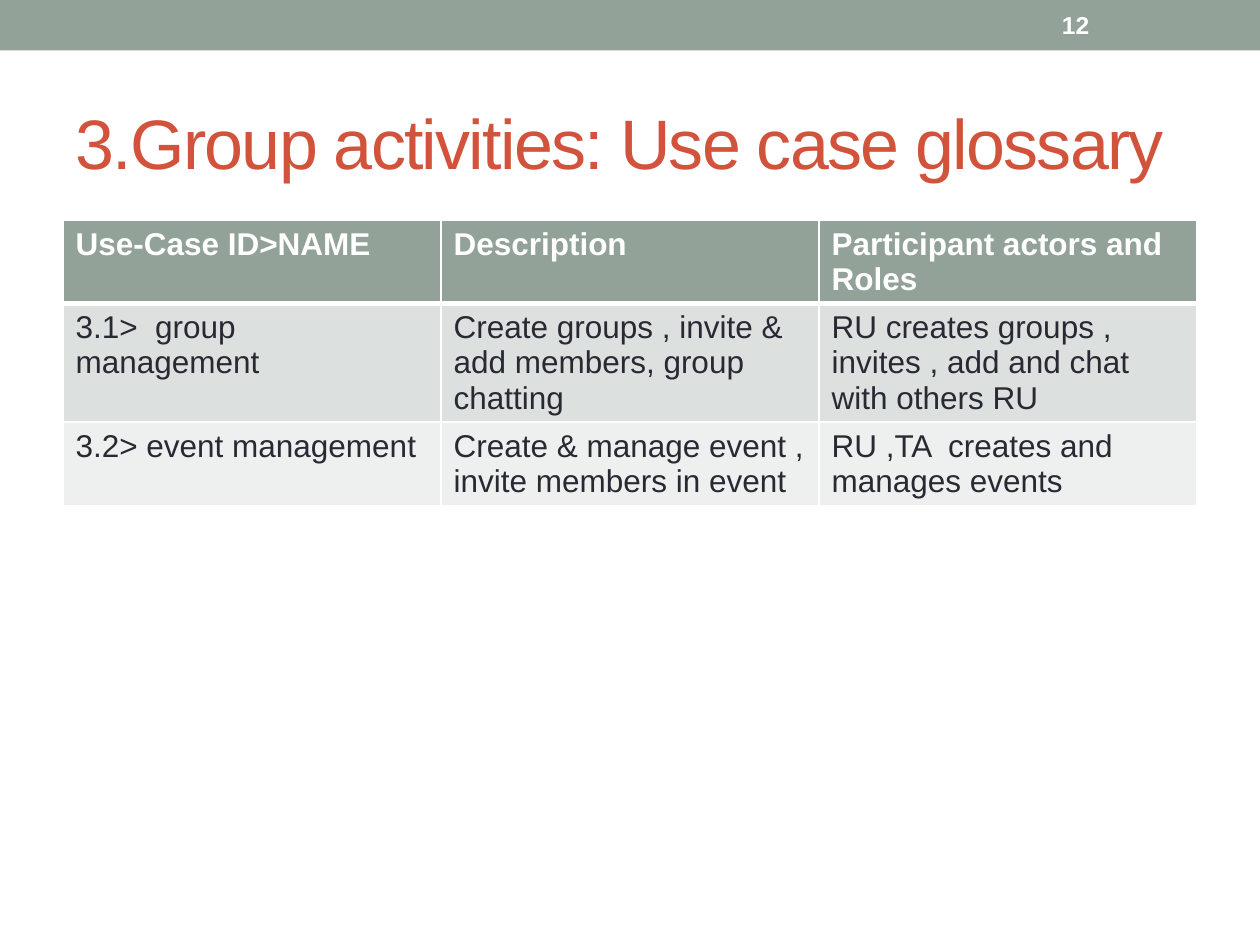
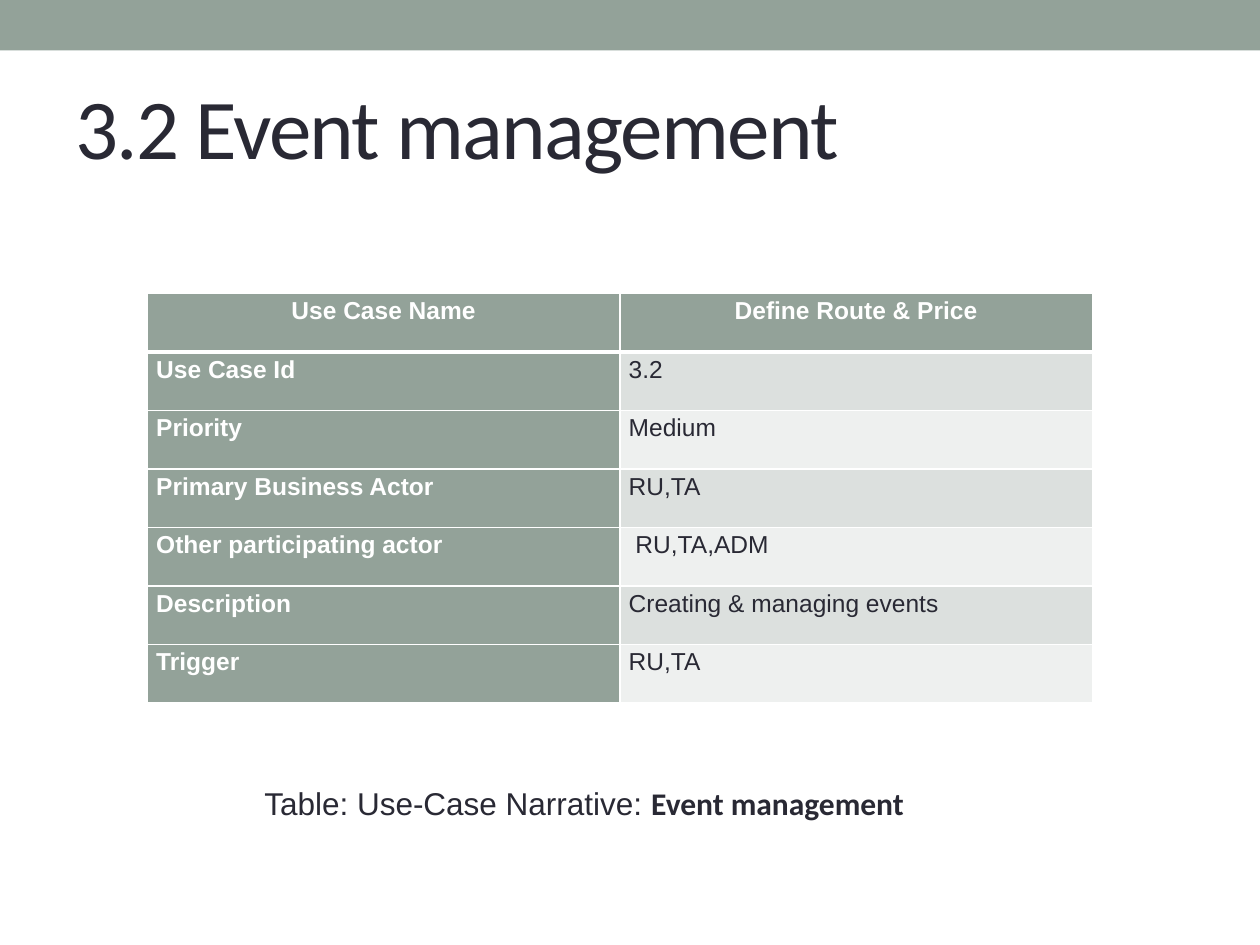
from lxml import etree
from pptx import Presentation
from pptx.dml.color import RGBColor
from pptx.enum import shapes, text
from pptx.oxml import ns
from pptx.util import Inches, Pt

SAGE, RUST, INK, WHITE = "93A299", "D2533C", "292934", "FFFFFF"
BANDS = ("DCE0DE", "EEF0EF")
MIDDLE, TOP = text.MSO_ANCHOR.MIDDLE, text.MSO_ANCHOR.TOP

GLOSSARY = [
    ("Use-Case ID>NAME", "Description", "Participant actors and Roles"),
    ("3.1>  group management",
     "Create groups , invite & add members, group chatting",
     "RU creates groups , invites , add and chat with others RU"),
    ("3.2> event management",
     "Create & manage event , invite members in event",
     "RU ,TA  creates and manages events"),
]
NARRATIVE = [
    ("Use Case Name", "Define Route & Price"),
    ("Use Case Id", "3.2"),
    ("Priority", "Medium"),
    ("Primary Business Actor", "RU,TA"),
    ("Other participating actor", " RU,TA,ADM"),
    ("Description", "Creating & managing events"),
    ("Trigger", "RU,TA"),
]
GLOSSARY_LOOK = dict(size=18, row_height=0.41, margins=(0.1, 0.05),
                     header_column=False, paragraph={})
NARRATIVE_LOOK = dict(size=14, row_height=3.25 / len(NARRATIVE), margins=(0.07, 0),
                      header_column=True, paragraph={"line_spacing": 1.15})


def color(value):
    return RGBColor.from_string(value)


def apply(target, values):
    for name, value in values.items():
        setattr(target, name, value)


def add_span(para, words, size, ink, font="Arial", bold=False):
    span = para.add_run()
    span.text = words
    apply(span.font, {"size": Pt(size), "name": font, "bold": bold})
    span.font.color.rgb = color(ink)
    return span


def add_page(deck, title, place, size, ink, font, anchor, inset):
    page = deck.slides.add_slide(deck.slide_layouts[5])
    band = page.shapes.add_shape(shapes.MSO_SHAPE.RECTANGLE, 0, 0,
                                 deck.slide_width, Inches(0.4))
    band.shadow.inherit = False
    band.fill.solid()
    band.fill.fore_color.rgb = color(SAGE)
    band.line.fill.background()

    box = page.shapes.title
    apply(box, dict(zip(("left", "top", "width", "height"), map(Inches, place))))
    apply(box.text_frame, {"word_wrap": True, "vertical_anchor": anchor,
                           "auto_size": text.MSO_AUTO_SIZE.NONE,
                           "margin_top": Inches(inset)})
    para = box.text_frame.paragraphs[0]
    para.alignment = text.PP_ALIGN.LEFT
    span = add_span(para, title, size, ink, font)
    span.font._element.set("spc", "-100")
    return page


def add_text(page, place, spans, anchor=TOP):
    box = page.shapes.add_textbox(*map(Inches, place))
    apply(box.text_frame, {"word_wrap": True, "vertical_anchor": anchor})
    for span in spans:
        add_span(box.text_frame.paragraphs[0], **span)


def set_borders(cell, row):
    properties = cell._tc.get_or_add_tcPr()
    widths = {"lnL": 1, "lnR": 1, "lnT": 3 if row == 1 else 1, "lnB": 3 if row == 0 else 1}
    for side, width in widths.items():
        line = etree.SubElement(properties, ns.qn(f"a:{side}"), w=str(Pt(width)))
        fill = etree.SubElement(line, ns.qn("a:solidFill"))
        etree.SubElement(fill, ns.qn("a:srgbClr"), val=WHITE)


def add_table(page, rows, place, look):
    frame = page.shapes.add_table(len(rows), len(rows[0]), *map(Inches, place))
    for row, values in enumerate(rows):
        frame.table.rows[row].height = Inches(look["row_height"])
        for column, words in enumerate(values):
            cell = frame.table.cell(row, column)
            heading = row == 0 or (look["header_column"] and column == 0)
            side, edge = map(Inches, look["margins"])
            apply(cell, {"margin_left": side, "margin_right": side,
                         "margin_top": edge, "margin_bottom": edge})
            set_borders(cell, row)
            cell.fill.solid()
            cell.fill.fore_color.rgb = color(SAGE if heading else BANDS[(row - 1) % 2])
            para = cell.text_frame.paragraphs[0]
            apply(para, look["paragraph"])
            if row == 0 and look["header_column"]:
                para.alignment = text.PP_ALIGN.CENTER
            add_span(para, words, look["size"], WHITE if heading else INK, bold=heading)
    frame.height = Inches(place[3])


def main():
    deck = Presentation()
    deck.slide_width, deck.slide_height = Inches(10), Inches(7.5)

    glossary = add_page(deck, "3.Group activities: Use case glossary",
                        (0.5, 0.58, 9, 1.08), 40, RUST, "Arial", MIDDLE, 0.05)
    add_table(glossary, GLOSSARY, (0.5, 1.75, 9, 2.4), GLOSSARY_LOOK)
    add_text(glossary, (8.33, 0.02, 1.17, 0.36),
             [dict(words="12", size=14, ink=WHITE, bold=True)], MIDDLE)

    narrative = add_page(deck, "3.2 Event management",
                         (0.5, 0.5, 9, 1.52), 48.6, INK, "Calibri", TOP, 0.09)
    add_table(narrative, NARRATIVE, (1.17, 2.33, 7.5, 3.25), NARRATIVE_LOOK)
    add_text(narrative, (2, 6.17, 5.67, 0.4), [
        dict(words="Table: Use-Case Narrative: ", size=18, ink=INK),
        dict(words="Event management", size=18, ink=INK, font="Calibri", bold=True),
    ])
    deck.save("out.pptx")


if __name__ == "__main__":
    main()
